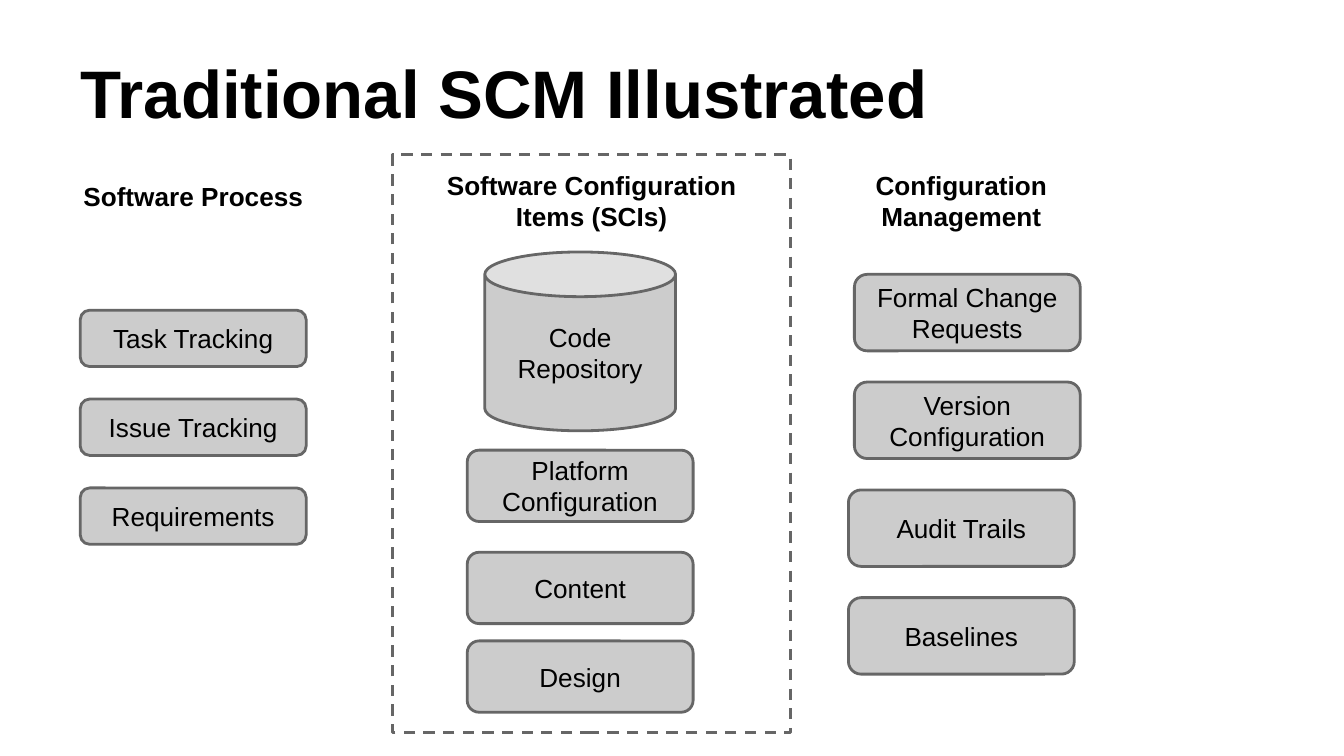
from dataclasses import dataclass
from pptx import Presentation
from pptx.dml.color import RGBColor as Rgb
from pptx.enum.dml import MSO_LINE as Dash
from pptx.enum.shapes import MSO_SHAPE as Kind
from pptx.enum.text import MSO_ANCHOR as Anchor, PP_ALIGN as Align
from pptx.util import Pt


@dataclass(frozen=True)
class Theme:
    font: str = "Arial"
    ink: Rgb = Rgb(0, 0, 0)
    fill: Rgb = Rgb(0xCC, 0xCC, 0xCC)
    edge: Rgb = Rgb(0x66, 0x66, 0x66)
    title: float = 36
    body: float = 14
    line: float = 1.5
    inset: float = 7.2


THEME = Theme()
WIDTH = 121


def write(shape, text, size, bold=False, align=Align.CENTER, anchor=Anchor.MIDDLE):
    frame = shape.text_frame
    frame.text = text
    frame.word_wrap = True
    frame.vertical_anchor = anchor
    frame.margin_left = frame.margin_right = Pt(THEME.inset)
    frame.margin_top = frame.margin_bottom = Pt(THEME.inset)
    for para in frame.paragraphs:
        para.alignment = align
        for run in para.runs:
            run.font.name = THEME.font
            run.font.size = Pt(size)
            run.font.bold = bold
            run.font.color.rgb = THEME.ink


def outline(slide, kind, box):
    shape = slide.shapes.add_shape(kind, *map(Pt, box))
    shape.shadow.inherit = False
    shape.line.color.rgb = THEME.edge
    shape.line.width = Pt(THEME.line)
    return shape


def add_frame(slide, box):
    shape = outline(slide, Kind.RECTANGLE, box)
    shape.fill.background()
    shape.line.dash_style = Dash.DASH


def add_item(slide, text, box, kind=Kind.ROUNDED_RECTANGLE):
    shape = outline(slide, kind, box)
    shape.fill.solid()
    shape.fill.fore_color.rgb = THEME.fill
    write(shape, text, THEME.body)


def add_stack(slide, names, left, top, high, step):
    for row, name in enumerate(names):
        add_item(slide, name, (left, top + row * step, WIDTH, high))


def add_label(slide, text, box, size=THEME.body, align=Align.CENTER, anchor=Anchor.TOP):
    label = slide.shapes.add_textbox(*map(Pt, box))
    write(label, text, size, True, align, anchor)


def main():
    deck = Presentation()
    deck.slide_width, deck.slide_height = Pt(720), Pt(405)
    slide = deck.slides.add_slide(deck.slide_layouts[6])

    add_label(slide, "Traditional SCM Illustrated", (36, 10, 648, 67.7),
              THEME.title, Align.LEFT, Anchor.BOTTOM)
    add_frame(slide, (210.5, 83, 213, 309.6))

    add_label(slide, "Software Process", (37.6, 89.3, 146, 36), align=Align.LEFT)
    add_label(slide, "Software Configuration Items (SCIs)", (222.5, 83.3, 189, 36))
    add_label(slide, "Configuration Management", (442, 83.3, 146, 36))

    add_stack(slide, ["Task Tracking", "Issue Tracking", "Requirements"],
              43, 166.2, 30.2, 47.6)

    add_item(slide, "Code\nRepository", (259.7, 135, 102.2, 95.8), Kind.CAN)
    add_stack(slide, ["Platform Configuration"], 250.3, 241.2, 38.2, 0)
    add_stack(slide, ["Content", "Design"], 250.3, 295.9, 38.2, 47.5)

    add_stack(slide, ["Formal Change Requests", "Version\nConfiguration"],
              457.7, 147, 41, 57.7)
    add_stack(slide, ["Audit Trails", "Baselines"], 454.5, 262.5, 41, 57.7)

    deck.save("out.pptx")


if __name__ == "__main__":
    main()
